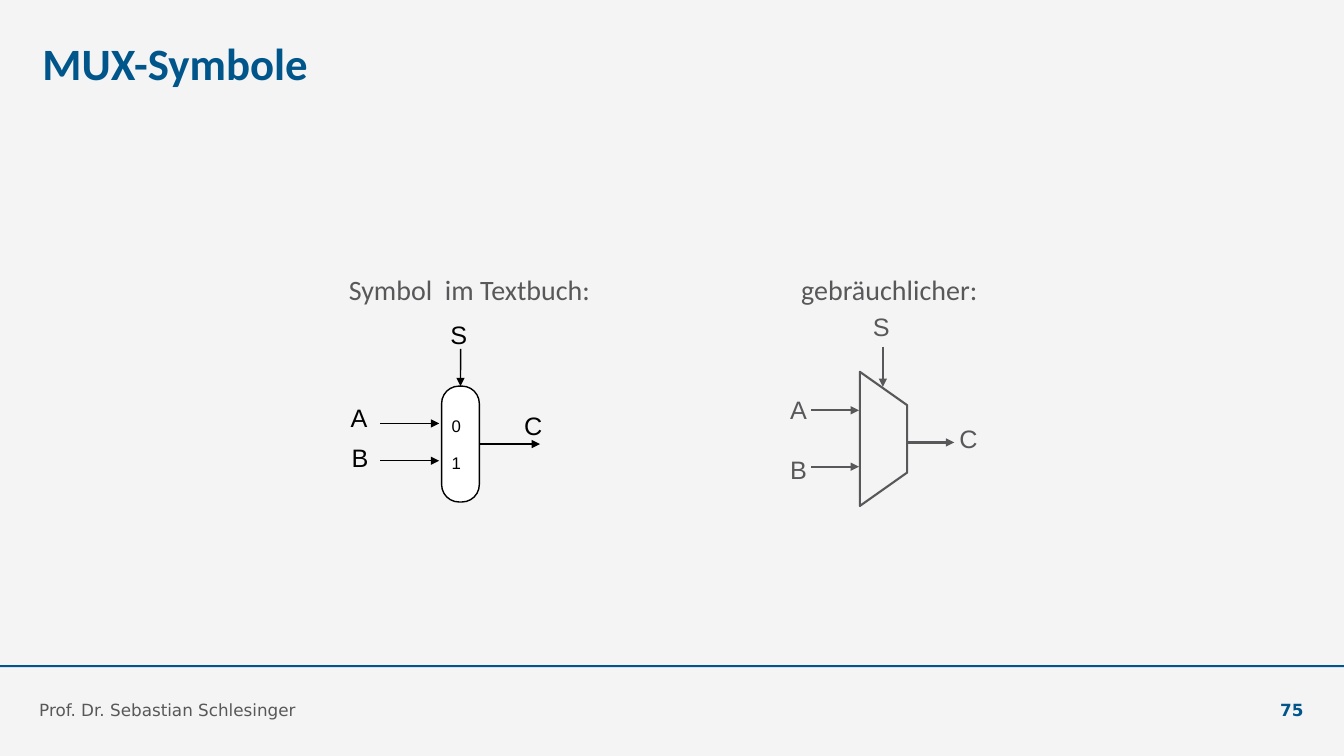
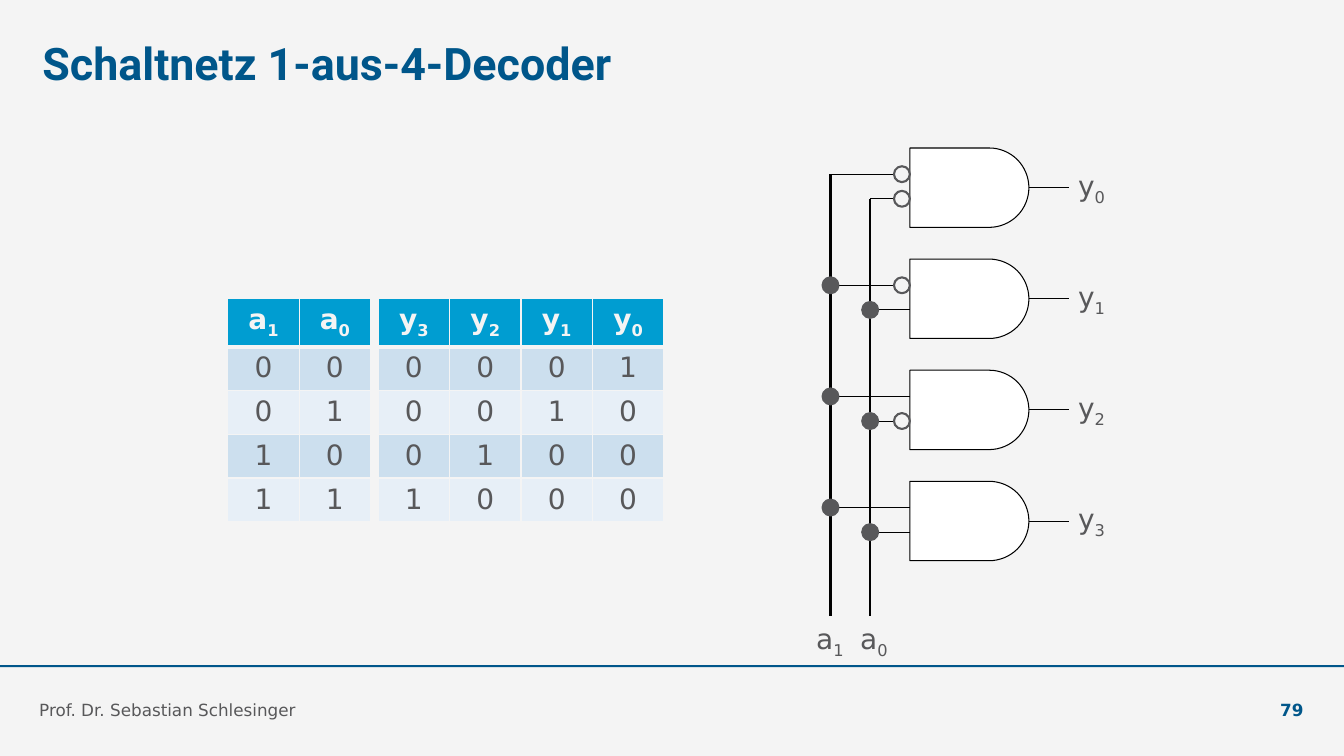
import math
from dataclasses import dataclass

from lxml import etree
from pptx import Presentation
from pptx.dml.color import RGBColor
from pptx.enum.shapes import MSO_CONNECTOR, MSO_SHAPE
from pptx.enum.text import MSO_ANCHOR, PP_ALIGN
from pptx.oxml.ns import qn
from pptx.util import Cm, Pt

STRAIGHT = MSO_CONNECTOR.STRAIGHT
RECTANGLE, ROUNDED, ELLIPSE = MSO_SHAPE.RECTANGLE, MSO_SHAPE.ROUNDED_RECTANGLE, MSO_SHAPE.OVAL
LEFT, CENTER, RIGHT = PP_ALIGN.LEFT, PP_ALIGN.CENTER, PP_ALIGN.RIGHT
TOP, BOTTOM = MSO_ANCHOR.TOP, MSO_ANCHOR.BOTTOM
SIDE_TOP, SIDE_RIGHT = 0, 3


@dataclass(frozen=True)
class Theme:
    paper: str = "F4F4F4"
    navy: str = "00568A"
    gray: str = "58585A"
    black: str = "000000"
    white: str = "FFFFFF"
    header: str = "009DD1"
    rows: tuple = ("CCDFEE", "E7EFF7")
    body_font: str = "DejaVu Sans"
    heading_font: str = "Calibri"
    decoder_title_font: str = "Roboto"
    symbol_font: str = "Arial"
    title_size: int = 32
    body_size: int = 20
    symbol_size: int = 18
    small_size: int = 12
    hairline: float = 0.75
    line: float = 1
    wire: float = 1.5


THEME = Theme()
WIDTH, HEIGHT = 33.87, 19.05


# Drawing helpers; lengths are centimetres, line weights are points
def rgb(color):
    return RGBColor.from_string(color)


def style_font(paragraph, font, size, color, bold=False):
    paragraph.font.name = font
    paragraph.font.size = Pt(size)
    paragraph.font.color.rgb = rgb(color)
    paragraph.font.bold = bold


def write_indexed(paragraph, name):
    """Write a name such as y0 with its digit as a subscript."""
    paragraph.add_run().text = name[0]
    index = paragraph.add_run()
    index.text = name[1]
    index.font._element.set("baseline", "-25000")


def add_label(slide, x, y, text, font, size, color, width=1.2, height=0.9,
              bold=False, align=LEFT, anchor=TOP, indexed=False):
    box = slide.shapes.add_textbox(Cm(x), Cm(y), Cm(width), Cm(height))
    frame = box.text_frame
    frame.word_wrap = True
    frame.margin_left = frame.margin_right = frame.margin_top = frame.margin_bottom = 0
    frame.vertical_anchor = anchor
    paragraph = frame.paragraphs[0]
    paragraph.alignment = align
    if indexed:
        write_indexed(paragraph, text)
    else:
        paragraph.add_run().text = text
    style_font(paragraph, font, size, color, bold)


def paint(shape, fill=None, line=None, weight=THEME.line):
    shape.shadow.inherit = False
    if fill:
        shape.fill.solid()
        shape.fill.fore_color.rgb = rgb(fill)
    else:
        shape.fill.background()
    if line:
        shape.line.color.rgb = rgb(line)
        shape.line.width = Pt(weight)
    else:
        shape.line.fill.background()


def add_box(slide, kind, x, y, width, height, **look):
    shape = slide.shapes.add_shape(kind, Cm(x), Cm(y), Cm(width), Cm(height))
    paint(shape, **look)
    return shape


def add_outline(slide, points, **look):
    corners = [(Cm(x), Cm(y)) for x, y in points]
    builder = slide.shapes.build_freeform(*corners[0])
    builder.add_line_segments(corners[1:], close=True)
    paint(builder.convert_to_shape(), **look)


def add_wire(slide, x1, y1, x2, y2, color, weight, arrow=False):
    wire = slide.shapes.add_connector(STRAIGHT, Cm(x1), Cm(y1), Cm(x2), Cm(y2))
    wire.line.color.rgb = rgb(color)
    wire.line.width = Pt(weight)
    if arrow:
        etree.SubElement(wire.line._get_or_add_ln(), qn("a:tailEnd"), type="triangle")
    etree.SubElement(wire._element.spPr, qn("a:effectLst"))
    return wire


# Shared frame: background, title, band and footer
def add_slide(presentation, title, title_font, number):
    slide = presentation.slides.add_slide(presentation.slide_layouts[6])
    slide.background.fill.solid()
    slide.background.fill.fore_color.rgb = rgb(THEME.paper)
    add_box(slide, RECTANGLE, 0, 16.76, WIDTH, 0.05, fill=THEME.navy)
    add_label(slide, 1.07, 0.91, title, title_font, THEME.title_size, THEME.navy,
              21.16, 1.6, bold=True)
    add_label(slide, 0.99, 17.15, "Prof. Dr. Sebastian Schlesinger", THEME.body_font,
              THEME.small_size, THEME.gray, 23.37, 0.99, anchor=BOTTOM)
    add_label(slide, 30.56, 17.15, number, THEME.body_font, THEME.small_size, THEME.navy,
              2.29, 0.99, bold=True, align=RIGHT, anchor=BOTTOM)
    return slide


# Multiplexer symbols
def add_signal_names(slide, left, top, names, color):
    for name, x, y in names:
        add_label(slide, left + x, top + y, name, THEME.symbol_font, THEME.symbol_size, color)


def add_textbook_symbol(slide, left, top):
    color, weight = THEME.black, THEME.line
    body = add_box(slide, ROUNDED, left + 2.34, top + 1.98, 0.95, 2.92,
                   fill=THEME.white, line=color, weight=weight)
    body.adjustments[0] = 0.46
    # Data inputs with their digits
    for digit, y in (("0", 2.92), ("1", 3.86)):
        add_wire(slide, left + 0.79, top + y, left + 2.28, top + y, color, weight, arrow=True)
        add_label(slide, left + 2.59, top + y - 0.2, digit, THEME.symbol_font,
                  THEME.small_size, color, 0.6, 0.6)
    # Select input and output
    select = add_wire(slide, left + 2.82, top + 1.04, left + 2.82, top + 1.98,
                      color, weight, arrow=True)
    select.end_connect(body, SIDE_TOP)
    output = add_wire(slide, left + 3.29, top + 3.44, left + 4.82, top + 3.44,
                      color, weight, arrow=True)
    output.begin_connect(body, SIDE_RIGHT)
    names = (("S", 2.56, 0.29), ("A", 0.05, 2.4), ("B", 0.07, 3.39), ("C", 4.42, 2.6))
    add_signal_names(slide, left, top, names, color)


def add_common_symbol(slide, left, top):
    color, weight = THEME.gray, THEME.wire
    corners = ((1.76, 1.52), (2.95, 2.36), (2.95, 4.06), (1.76, 4.9))
    add_outline(slide, [(left + x, top + y) for x, y in corners], line=color, weight=weight)
    arrows = ((0.54, 2.49, 1.74, 2.49), (0.54, 3.91, 1.74, 3.91),
              (2.95, 3.3, 4.14, 3.3), (2.34, 0.89, 2.34, 1.9))
    for x1, y1, x2, y2 in arrows:
        add_wire(slide, left + x1, top + y1, left + x2, top + y2, color, weight, arrow=True)
    names = (("S", 2.09, 0), ("A", 0, 2.08), ("B", 0, 3.61), ("C", 4.27, 2.82))
    add_signal_names(slide, left, top, names, color)


def build_symbols_slide(presentation):
    slide = add_slide(presentation, "MUX-Symbole", THEME.heading_font, "75")
    for x, heading in ((8.79, "Symbol  im Textbuch:"), (20.19, "gebräuchlicher:")):
        add_label(slide, x, 6.86, heading, THEME.heading_font, THEME.body_size,
                  THEME.gray, 7.7)
    add_textbook_symbol(slide, 8.79, 7.75)
    add_common_symbol(slide, 19.91, 7.85)


# Truth table
def set_borders(cell, top, bottom):
    properties = cell._tc.get_or_add_tcPr()
    for side, weight in (("L", 1), ("R", 1), ("T", top), ("B", bottom)):
        line = etree.SubElement(properties, qn(f"a:ln{side}"), w=str(int(Pt(weight))))
        fill = etree.SubElement(line, qn("a:solidFill"))
        etree.SubElement(fill, qn("a:srgbClr"), val=THEME.paper)


def add_truth_table(slide, left, top, names, rows):
    column, header_height, row_height = 1.8, 1.2, 1.1
    frame = slide.shapes.add_table(
        len(rows) + 1, len(names), Cm(left), Cm(top),
        Cm(column * len(names)), Cm(header_height + row_height * len(rows)))
    table = frame.table
    table.first_row = table.horz_banding = False
    for table_column in table.columns:
        table_column.width = Cm(column)
    for number, values in enumerate((names, *rows)):
        is_header = number == 0
        table.rows[number].height = Cm(header_height if is_header else row_height)
        for position, value in enumerate(values):
            cell = table.cell(number, position)
            set_borders(cell, 3 if number == 1 else 1, 3 if is_header else 1)
            cell.fill.solid()
            cell.fill.fore_color.rgb = rgb(
                THEME.header if is_header else THEME.rows[(number - 1) % 2])
            paragraph = cell.text_frame.paragraphs[0]
            paragraph.alignment = CENTER
            if is_header:
                write_indexed(paragraph, value)
            else:
                paragraph.add_run().text = value
            style_font(paragraph, THEME.body_font, THEME.body_size,
                       THEME.paper if is_header else THEME.gray, is_header)


# Decoder circuit: two address wires feed four AND gates
def add_dot(slide, x, y, fill):
    diameter = 0.4
    add_box(slide, ELLIPSE, x - diameter / 2, y - diameter / 2, diameter, diameter,
            fill=fill, line=THEME.gray, weight=THEME.wire)


def add_gate(slide, left, top):
    steps = 32
    angles = [math.pi * (step / steps - 0.5) for step in range(steps + 1)]
    arc = [(left + 2 + math.cos(angle), top + 1 + math.sin(angle)) for angle in angles]
    add_outline(slide, [(left, top), *arc, (left, top + 2)],
                fill=THEME.white, line=THEME.black, weight=THEME.hairline)
    add_wire(slide, left + 3, top + 1, left + 4, top + 1, THEME.black, THEME.hairline)


def add_index_label(slide, x, y, name):
    add_label(slide, x, y, name, THEME.body_font, THEME.body_size, THEME.gray, indexed=True)


def add_decoder(slide, left, top):
    gate_left, pitch, bottom = left + 2, 2.8, top + 11.8
    # Name, wire position, input height, label position, address bit
    inputs = (("a1", left, 0.66, left - 0.36, 2), ("a0", left + 1, 1.28, left + 0.75, 1))
    for name, x, height, label_x, _ in inputs:
        add_wire(slide, x, top + height, x, bottom, THEME.black, THEME.wire)
        add_index_label(slide, label_x, bottom + 0.12, name)
    for number in range(4):
        gate_top = top + number * pitch
        add_gate(slide, gate_left, gate_top)
        add_index_label(slide, gate_left + 4.24, gate_top + 0.51, f"y{number}")
        for _, x, height, _, bit in inputs:
            y = gate_top + height
            add_wire(slide, x, y, gate_left, y, THEME.black, THEME.hairline)
            if number > 0:
                add_dot(slide, x, y, THEME.gray)
            if not number & bit:
                add_dot(slide, gate_left - 0.2, y, THEME.paper)


def build_decoder_slide(presentation):
    slide = add_slide(presentation, "Schaltnetz 1-aus-4-Decoder",
                      THEME.decoder_title_font, "79")
    add_truth_table(slide, 5.74, 7.52, ("a1", "a0"), ("00", "01", "10", "11"))
    add_truth_table(slide, 9.53, 7.52, ("y3", "y2", "y1", "y0"),
                    ("0001", "0010", "0100", "1000"))
    add_decoder(slide, 20.93, 3.73)


def main():
    presentation = Presentation()
    presentation.slide_width, presentation.slide_height = Cm(WIDTH), Cm(HEIGHT)
    build_symbols_slide(presentation)
    build_decoder_slide(presentation)
    presentation.save("out.pptx")


if __name__ == "__main__":
    main()
